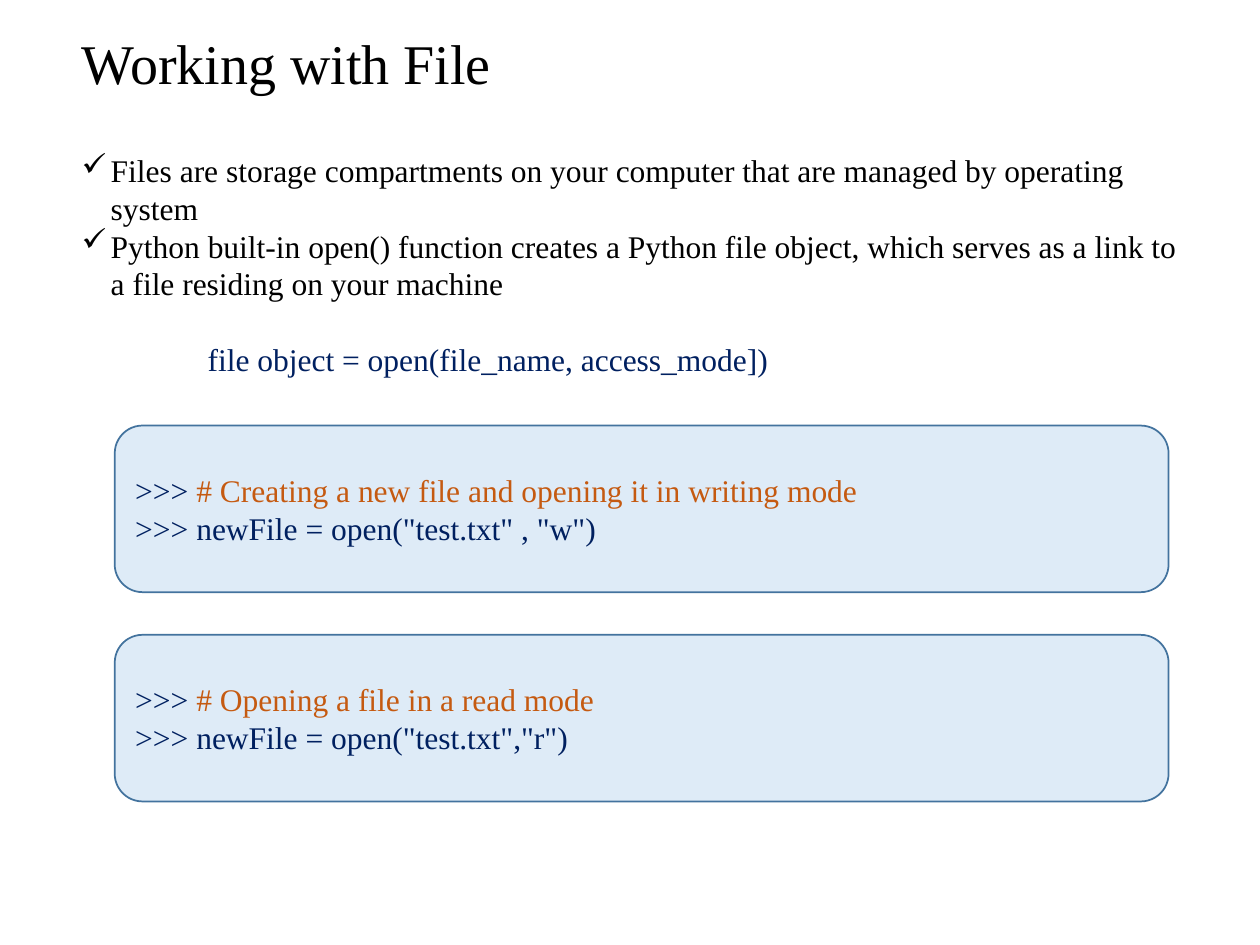
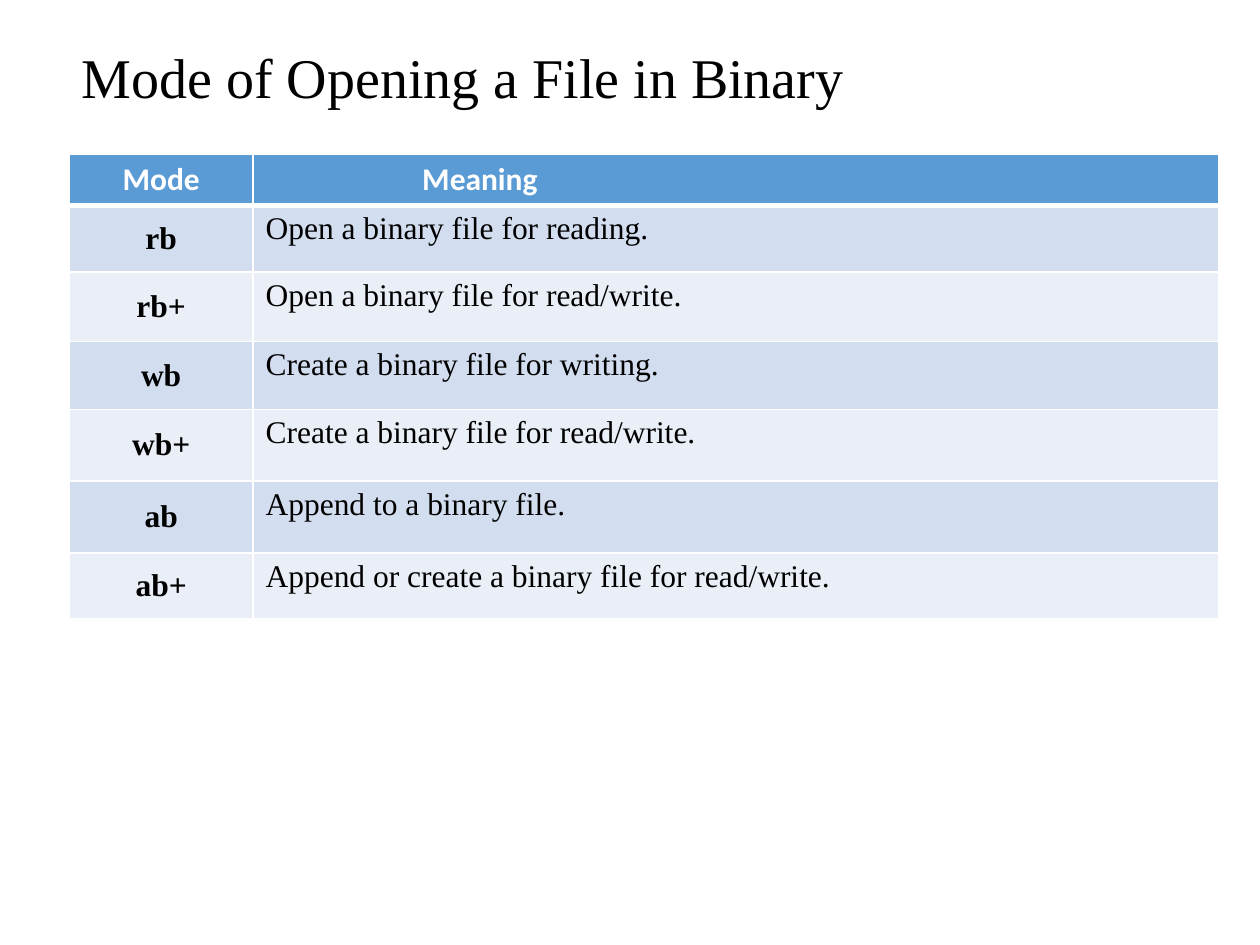
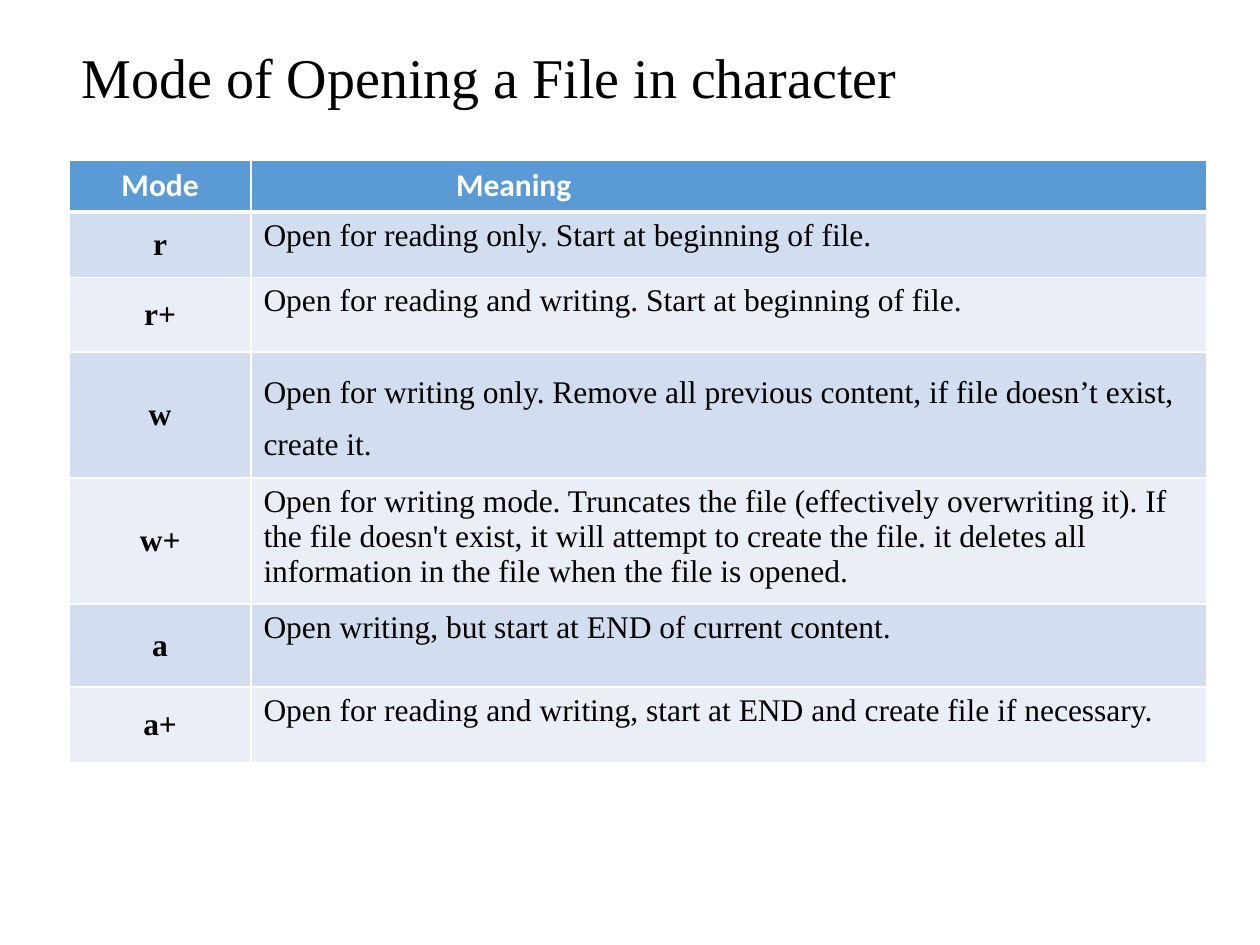
import dataclasses

import lxml.etree
import pptx
import pptx.dml.color
import pptx.enum.shapes
import pptx.enum.text
import pptx.oxml.ns
import pptx.util

Pt = pptx.util.Pt
Align = pptx.enum.text.PP_ALIGN
Anchor = pptx.enum.text.MSO_ANCHOR


def rgb(value):
    return pptx.dml.color.RGBColor.from_string(value)


def add_xml(parent, tag, **attributes):
    return lxml.etree.SubElement(parent, pptx.oxml.ns.qn(tag), attributes)


@dataclasses.dataclass(frozen=True)
class Theme:
    black: str = "000000"
    white: str = "FFFFFF"
    code: str = "002060"
    comment: str = "C55A11"
    panel: str = "DEEBF7"
    panel_line: str = "43739E"
    header: str = "5B9BD5"
    bands: tuple = ("D2DEEF", "EAEFF7")
    serif: str = "Times New Roman"
    sans: str = "Calibri"
    title_size: int = 32
    body_size: int = 18
    code_pitch: float = 21.6
    left: float = 39.6
    bullet_indent: float = 16.6


class Deck:
    def __init__(self, theme):
        self.theme = theme
        self.presentation = pptx.Presentation()
        self.presentation.slide_width = Pt(720)
        self.presentation.slide_height = Pt(540)
        self.slide = None

    def new_slide(self):
        self.slide = self.presentation.slides.add_slide(self.presentation.slide_layouts[6])

    def run(self, paragraph, text, color, size=None, font=None, bold=False):
        run = paragraph.add_run()
        run.text = text
        run.font.name = font or self.theme.serif
        run.font.size = Pt(size or self.theme.body_size)
        run.font.bold = bold
        run.font.color.rgb = rgb(color)

    def indent(self, paragraph, margin, first=0):
        properties = paragraph._p.get_or_add_pPr()
        properties.set("marL", str(Pt(margin)))
        properties.set("indent", str(Pt(first)))
        return properties

    def text_frame(self, left, top, width, height):
        frame = self.slide.shapes.add_textbox(Pt(left), Pt(top), Pt(width), Pt(height)).text_frame
        frame.word_wrap = True
        return frame

    def title(self, text, top=31):
        frame = self.text_frame(self.theme.left, top, 581, 30.2)
        frame.vertical_anchor = Anchor.MIDDLE
        heading = frame.paragraphs[0]
        heading.line_spacing = 0.9
        self.run(heading, text, self.theme.black, self.theme.title_size)

    def explanation(self, points, syntax):
        frame = self.text_frame(self.theme.left, 82.8, 645.8, 203.8)
        for index, point in enumerate(points):
            paragraph = frame.paragraphs[0] if index == 0 else frame.add_paragraph()
            paragraph.line_spacing = Pt(self.theme.code_pitch)
            step = self.theme.bullet_indent
            add_xml(self.indent(paragraph, step, -step), "a:buChar", char="✓")
            self.run(paragraph, point, self.theme.black)
        paragraph = frame.add_paragraph()
        paragraph.line_spacing = paragraph.space_before = Pt(self.theme.code_pitch)
        self.indent(paragraph, 72)
        self.run(paragraph, syntax, self.theme.code)

    def code_panel(self, top, comment, statement):
        panel = self.slide.shapes.add_shape(
            pptx.enum.shapes.MSO_SHAPE.ROUNDED_RECTANGLE, Pt(65.6), Pt(top), Pt(602.2), Pt(95.2))
        panel.shadow.inherit = False
        panel.fill.solid()
        panel.fill.fore_color.rgb = rgb(self.theme.panel)
        panel.line.color.rgb = rgb(self.theme.panel_line)
        panel.line.width = Pt(1)
        frame = panel.text_frame
        frame.word_wrap = True
        frame.vertical_anchor = Anchor.MIDDLE
        lines = ((comment, self.theme.comment), (statement, self.theme.code))
        for index, (text, color) in enumerate(lines):
            paragraph = frame.paragraphs[0] if index == 0 else frame.add_paragraph()
            paragraph.alignment = Align.LEFT
            paragraph.line_spacing = Pt(self.theme.code_pitch)
            self.run(paragraph, ">>> ", self.theme.code)
            self.run(paragraph, text, color)

    def style_cell(self, cell, fill, bottom=1):
        properties = cell._tc.get_or_add_tcPr()
        for side, width in (("L", 1), ("R", 1), ("T", 1), ("B", bottom)):
            border = add_xml(properties, f"a:ln{side}", w=str(Pt(width)))
            add_xml(add_xml(border, "a:solidFill"), "a:srgbClr", val=self.theme.white)
        cell.fill.solid()
        cell.fill.fore_color.rgb = rgb(fill)

    def mode_table(self, top, widths, heights, meaning_indent, modes, spacing=None):
        table = self.slide.shapes.add_table(
            len(heights), 2, Pt(self.theme.left), Pt(top), Pt(sum(widths)), Pt(sum(heights))).table
        table.first_row = table.horz_banding = False
        for column, width in zip(table.columns, widths):
            column.width = Pt(width)
        for row, height in zip(table.rows, heights):
            row.height = Pt(height)
        for cell, heading in zip(table.rows[0].cells, ("Mode", "Meaning")):
            self.style_cell(cell, self.theme.header, 3)
            self.run(cell.text_frame.paragraphs[0], heading, self.theme.white,
                     font=self.theme.sans, bold=True)
        table.cell(0, 0).text_frame.paragraphs[0].alignment = Align.CENTER
        self.indent(table.cell(0, 1).text_frame.paragraphs[0], meaning_indent)
        for index, (mode, meaning) in enumerate(modes, start=1):
            mode_cell, meaning_cell = table.rows[index].cells
            for cell, text in ((mode_cell, mode), (meaning_cell, meaning)):
                self.style_cell(cell, self.theme.bands[(index - 1) % 2])
                self.run(cell.text_frame.paragraphs[0], text, self.theme.black,
                         bold=cell is mode_cell)
            mode_cell.vertical_anchor = Anchor.MIDDLE
            mode_cell.text_frame.paragraphs[0].alignment = Align.CENTER
            if spacing and mode in spacing:
                meaning_cell.text_frame.paragraphs[0].line_spacing = spacing[mode]


BINARY_MODES = (
    ("rb", "Open a binary file for reading."),
    ("rb+", "Open a binary file for read/write."),
    ("wb", "Create a binary file for writing."),
    ("wb+", "Create a binary file for read/write."),
    ("ab", "Append to a binary file."),
    ("ab+", "Append or create a binary file for read/write."),
)
CHARACTER_MODES = (
    ("r", "Open for reading only. Start at beginning of file."),
    ("r+", "Open for reading and writing. Start at beginning of file."),
    ("w", "Open for writing only. Remove all previous content, if file doesn’t exist, create it."),
    ("w+", "Open for writing mode. Truncates the file (effectively overwriting it). "
           "If the file doesn't exist, it will attempt to create the file. "
           "it deletes all information in the file when the file is opened."),
    ("a", "Open writing, but start at END of current content."),
    ("a+", "Open for reading and writing, start at END and create file if necessary."),
)


def main():
    deck = Deck(Theme())

    deck.new_slide()
    deck.title("Working with File", top=23)
    deck.explanation(
        ("Files are storage compartments on your computer that are managed by operating system",
         "Python built-in open() function creates a Python file object, "
         "which serves as a link to a file residing on your machine"),
        "file object = open(file_name, access_mode])")
    deck.code_panel(243.2, "# Creating a new file and opening it in writing mode",
                    'newFile = open("test.txt" , "w")')
    deck.code_panel(362.8, "# Opening a file in a read mode",
                    'newFile = open("test.txt","r")')

    deck.new_slide()
    deck.mode_table(88, (105, 552), (29.5, 38, 39.6, 38.9, 41, 41, 37.4), 89.5, BINARY_MODES)
    deck.title("Mode of Opening a File in Binary")

    deck.new_slide()
    deck.mode_table(91.6, (103.8, 546.2), (29.5, 37.5, 42.5, 67, 67, 47.5, 43.5), 110,
                    CHARACTER_MODES, {"w": 1.5})
    deck.title("Mode of Opening a File in character")

    deck.presentation.save("out.pptx")


if __name__ == "__main__":
    main()
